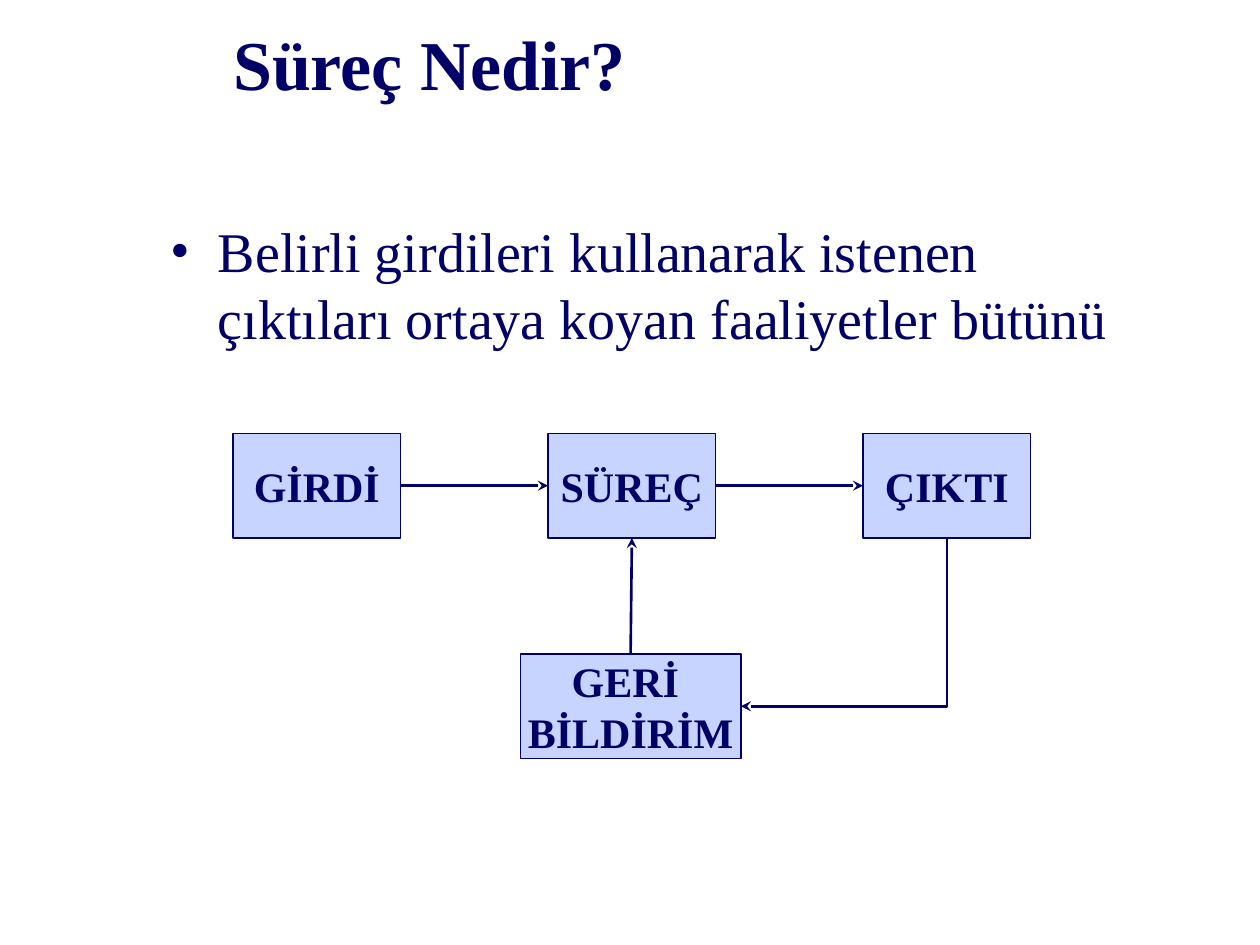
from lxml import etree
from pptx import Presentation
from pptx import util as u
from pptx.dml.color import RGBColor
from pptx.enum import shapes, text
from pptx.oxml.ns import qn

NAVY = RGBColor(0x00, 0x00, 0x66)
PERIWINKLE = RGBColor(0x8F, 0xAA, 0xFF)
FONT = "Times New Roman"

TITLE = "Süreç Nedir?"
DEFINITION = "Belirli girdileri kullanarak istenen çıktıları ortaya koyan faaliyetler bütünü"
FLOW_STEPS = ["GİRDİ", "SÜREÇ", "ÇIKTI"]
FEEDBACK = ["GERİ ", "BİLDİRİM"]

FLOW_LEFT, FLOW_TOP, FLOW_PITCH = 1.85, 3.44, 2.5
STEP_WIDTH, BOX_HEIGHT = 1.33, 0.83
FEEDBACK_LEFT, FEEDBACK_TOP, FEEDBACK_WIDTH = 4.13, 5.19, 1.75
TOP, LEFT, BOTTOM, RIGHT = range(4)


def add_text(paragraph, content, size, bold, alignment):
    paragraph.alignment = alignment
    run = paragraph.add_run()
    run.text = content
    run.font.name = FONT
    run.font.size = u.Pt(size)
    run.font.bold = bold
    run.font.color.rgb = NAVY


def fill_placeholder(shape, box, content, size, bold, anchor):
    shape.left, shape.top, shape.width, shape.height = map(u.Inches, box)
    frame = shape.text_frame
    frame.auto_size = text.MSO_AUTO_SIZE.NONE
    frame.vertical_anchor = anchor
    add_text(frame.paragraphs[0], content, size, bold, text.PP_ALIGN.LEFT)
    return frame.paragraphs[0]


def add_box(slide, left, top, width, lines):
    shape = slide.shapes.add_shape(
        shapes.MSO_SHAPE.RECTANGLE, *map(u.Inches, (left, top, width, BOX_HEIGHT)))
    shape.shadow.inherit = False
    shape.fill.solid()
    shape.fill.fore_color.rgb = PERIWINKLE
    color = shape.fill._xPr.find(qn("a:solidFill"))[0]
    etree.SubElement(color, qn("a:alpha"), val="50000")
    shape.line.color.rgb = NAVY
    shape.line.width = u.Pt(1)
    frame = shape.text_frame
    frame.word_wrap = False
    frame.vertical_anchor = text.MSO_ANCHOR.MIDDLE
    for index, line in enumerate(lines):
        paragraph = frame.add_paragraph() if index else frame.paragraphs[0]
        add_text(paragraph, line, 24, True, text.PP_ALIGN.CENTER)
    return shape


def add_arrow(slide, kind, source, source_side, target, target_side):
    arrow = slide.shapes.add_connector(kind, 0, 0, 0, 0)
    arrow.begin_connect(source, source_side)
    arrow.end_connect(target, target_side)
    arrow.line.color.rgb = NAVY
    arrow.line.width = u.Pt(1.5)
    properties = arrow._element.spPr
    etree.SubElement(properties.find(qn("a:ln")), qn("a:tailEnd"), type="stealth")
    etree.SubElement(properties, qn("a:effectLst"))
    return arrow


def turn_down_then_left(arrow):
    start_x, start_y = arrow.begin_x, arrow.begin_y
    end_x, end_y = arrow.end_x, arrow.end_y
    width, height = end_y - start_y, start_x - end_x
    arrow.left = (start_x + end_x - width) // 2
    arrow.top = (start_y + end_y - height) // 2
    arrow.width, arrow.height = width, height
    properties = arrow._element.spPr
    transform = properties.find(qn("a:xfrm"))
    transform.attrib.pop("flipH", None)
    transform.set("rot", "5400000")
    properties.find(qn("a:prstGeom")).set("prst", "bentConnector2")


def main():
    presentation = Presentation()
    presentation.slide_width = u.Inches(10)
    presentation.slide_height = u.Inches(7.5)
    slide = presentation.slides.add_slide(presentation.slide_layouts[1])

    fill_placeholder(slide.shapes.title, (1.75, 0.08, 7.67, 0.83),
                     TITLE, 40, True, text.MSO_ANCHOR.MIDDLE)
    bullet = fill_placeholder(slide.placeholders[1], (1.25, 1.67, 7.83, 4.75),
                              DEFINITION, 32, False, text.MSO_ANCHOR.TOP)
    properties = bullet._p.get_or_add_pPr()
    properties.set("marL", str(u.Inches(0.38)))
    properties.set("indent", str(u.Inches(-0.38)))
    etree.SubElement(properties, qn("a:buFont"), typeface=FONT)
    etree.SubElement(properties, qn("a:buChar"), char="•")

    steps = [add_box(slide, FLOW_LEFT + index * FLOW_PITCH, FLOW_TOP, STEP_WIDTH, [label])
             for index, label in enumerate(FLOW_STEPS)]
    feedback = add_box(slide, FEEDBACK_LEFT, FEEDBACK_TOP, FEEDBACK_WIDTH, FEEDBACK)

    straight = shapes.MSO_CONNECTOR.STRAIGHT
    for source, target in zip(steps, steps[1:]):
        add_arrow(slide, straight, source, RIGHT, target, LEFT)
    add_arrow(slide, straight, feedback, TOP, steps[1], BOTTOM)
    turn_down_then_left(
        add_arrow(slide, shapes.MSO_CONNECTOR.ELBOW, steps[2], BOTTOM, feedback, RIGHT))

    presentation.save("out.pptx")


if __name__ == "__main__":
    main()
